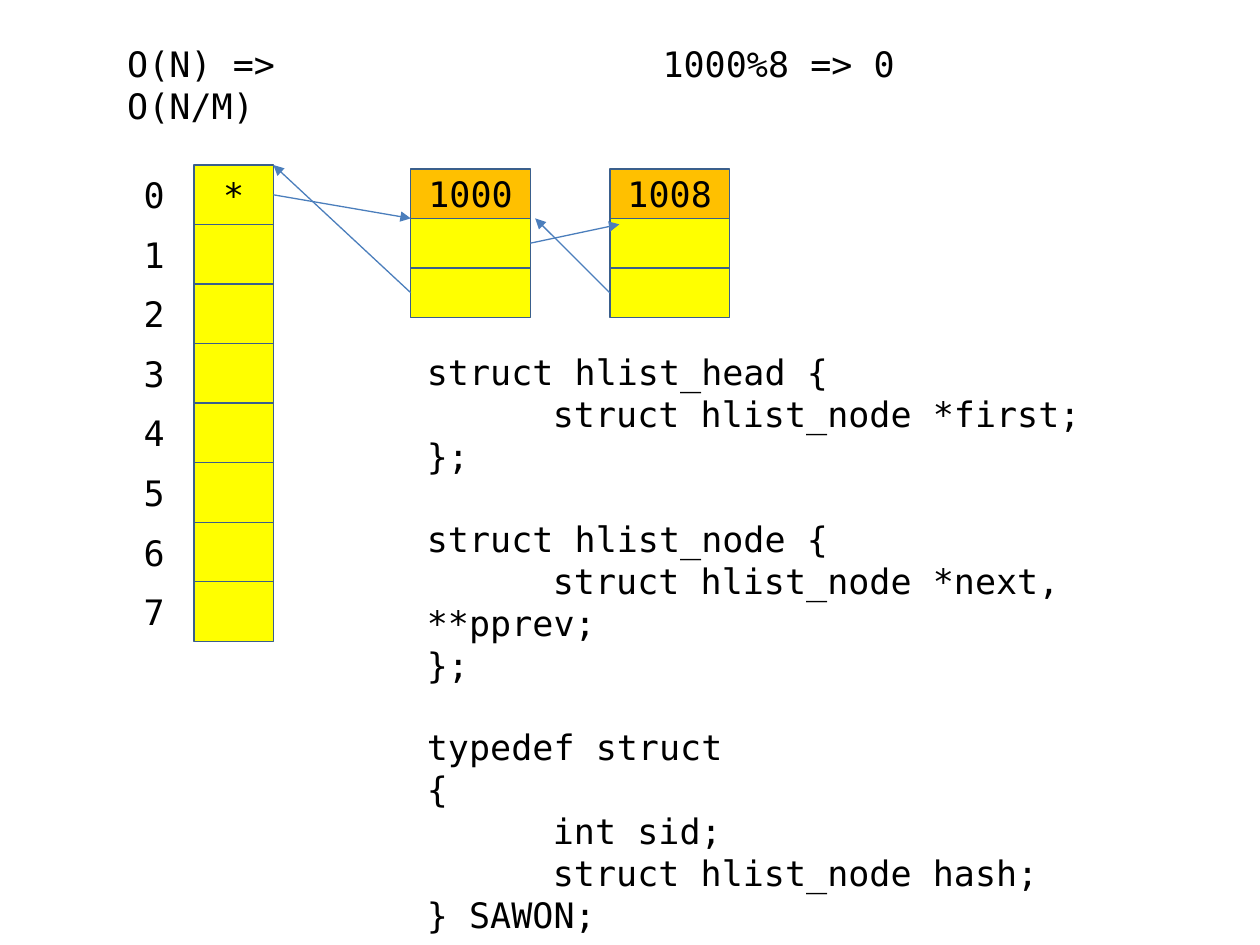
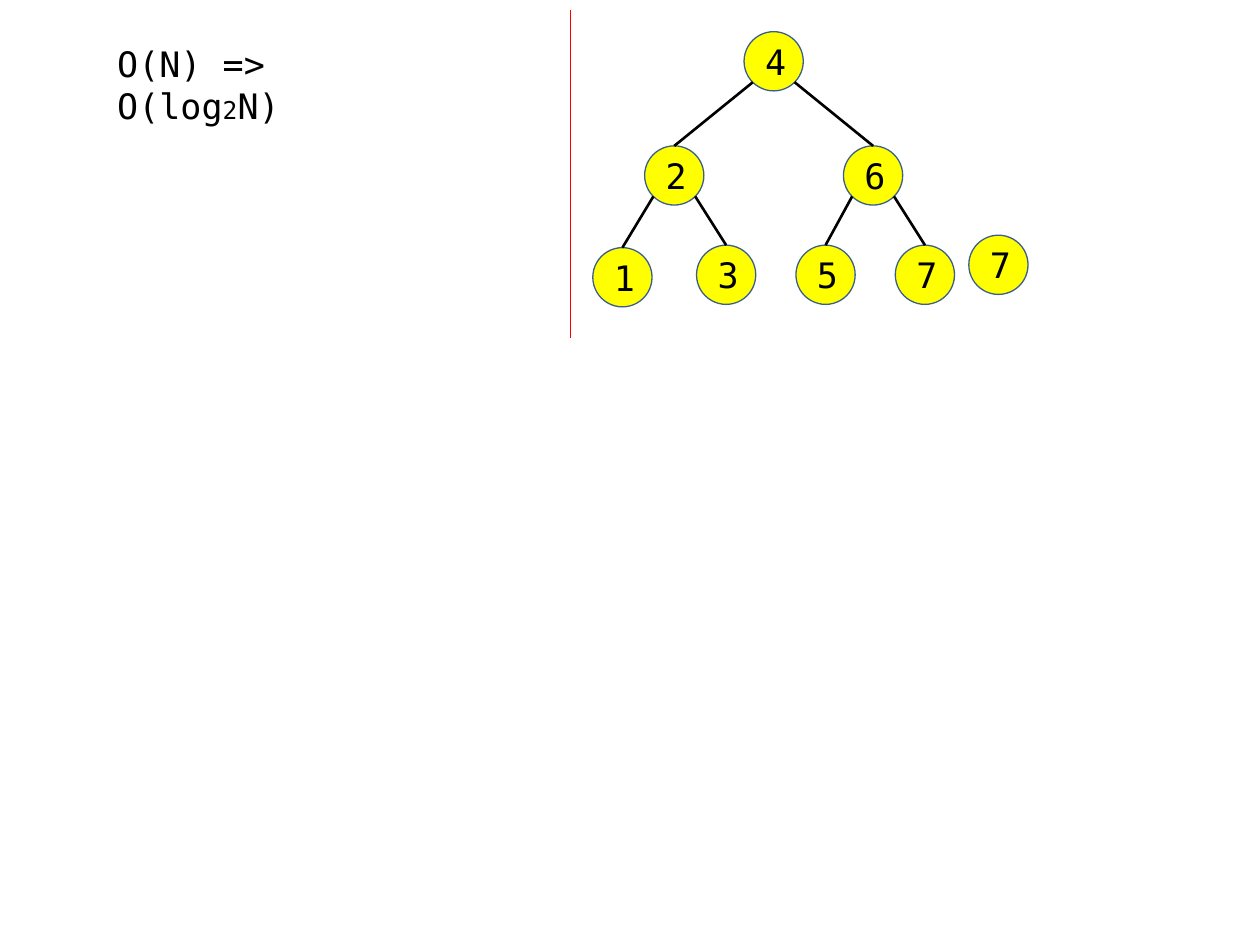
from collections import namedtuple
from math import sqrt

from lxml.etree import SubElement
from pptx import Presentation
from pptx.dml.color import RGBColor
from pptx.enum.shapes import MSO_CONNECTOR, MSO_SHAPE
from pptx.enum.text import MSO_ANCHOR, MSO_AUTO_SIZE, PP_ALIGN
from pptx.oxml.ns import qn
from pptx.util import Inches, Pt

FONT = "DejaVu Sans Mono"
TEXT_SIZE = 20
SUBSCRIPT_SIZE = 14
BLANK_LINE = 23.3
BLACK, YELLOW, ORANGE, RED = "000000", "FFFF00", "FFC000", "FF0000"
OUTLINE, ARROW = "3A5F8C", "4B7EBC"
TITLE_ONLY = 5

# All lengths are inches.
Box = namedtuple("Box", "left top width height")

CODE = [
    "struct hlist_head {", "\tstruct hlist_node *first;", "};", "",
    "struct hlist_node {", "\tstruct hlist_node *next, **pprev;", "};", "",
    "typedef struct", "{", "\tint sid;", "\tstruct hlist_node hash;", "} SAWON;",
]


def color(hex_string):
    """Turn a hex string into a colour."""
    return RGBColor.from_string(hex_string)


def point(box, across, down):
    """Return the point at the given shares of a box's width and height."""
    return box.left + across * box.width, box.top + down * box.height


def split_rows(box, count):
    """Cut a box into equal rows."""
    height = box.height / count
    return [Box(box.left, box.top + row * height, box.width, height)
            for row in range(count)]


def format_run(run, size=TEXT_SIZE):
    """Give a run the shared font, colour and a size."""
    run.font.name = FONT
    run.font.size = Pt(size)
    run.font.color.rgb = color(BLACK)


def write_centered(shape, text):
    """Write one line in the middle of a shape."""
    frame = shape.text_frame
    frame.text = text
    frame.word_wrap = True
    frame.vertical_anchor = MSO_ANCHOR.MIDDLE
    paragraph = frame.paragraphs[0]
    paragraph.alignment = PP_ALIGN.CENTER
    for run in paragraph.runs:
        format_run(run)


def add_text_box(slide, box):
    """Add an empty wrapping text box."""
    shape = slide.shapes.add_textbox(*map(Inches, box))
    shape.text_frame.word_wrap = True
    return shape


def add_cell(slide, box, text="", fill=YELLOW, preset=MSO_SHAPE.RECTANGLE):
    """Add an outlined, filled shape with an optional centred text."""
    shape = slide.shapes.add_shape(preset, *map(Inches, box))
    shape.shadow.inherit = False
    shape.fill.solid()
    shape.fill.fore_color.rgb = color(fill)
    shape.line.color.rgb = color(OUTLINE)
    shape.line.width = Pt(0.75)
    if text:
        write_centered(shape, text)


def add_line(slide, start, end, line_color, width=0.75, arrow=False):
    """Add a straight line, with an arrowhead at its end if asked for."""
    connector = slide.shapes.add_connector(
        MSO_CONNECTOR.STRAIGHT, *map(Inches, (*start, *end)))
    connector.line.color.rgb = color(line_color)
    connector.line.width = Pt(width)
    if arrow:
        SubElement(connector.line._get_or_add_ln(), qn("a:tailEnd"), type="triangle")
    SubElement(connector._element.spPr, qn("a:effectLst"))


def add_title(slide, box, pieces):
    """Fill the title placeholder with (text, size) pieces."""
    title = slide.shapes.title
    title.left, title.top, title.width, title.height = map(Inches, box)
    frame = title.text_frame
    frame.word_wrap = True
    frame.auto_size = MSO_AUTO_SIZE.SHAPE_TO_FIT_TEXT
    frame.vertical_anchor = MSO_ANCHOR.TOP
    paragraph = frame.paragraphs[0]
    paragraph.alignment = PP_ALIGN.LEFT
    for text, size in pieces:
        run = paragraph.add_run()
        run.text = text
        format_run(run, size)


def add_formula(slide, box, text):
    """Add a left-aligned formula."""
    frame = add_text_box(slide, box).text_frame
    frame.text = text
    format_run(frame.paragraphs[0].runs[0])


def add_buckets(slide, box, count):
    """Draw numbered hash buckets: labels left, cells right; return the cells."""
    half = box.width / 2
    cells = split_rows(Box(box.left + half, box.top, half, box.height), count)
    for index, cell in enumerate(cells):
        label = add_text_box(slide, cell._replace(left=box.left))
        write_centered(label, str(index))
        add_cell(slide, cell, "" if index else "*")
    return cells


def add_node(slide, box, key):
    """Draw a list node with a key, a next and a previous cell; return the cells."""
    cells = split_rows(box, 3)
    for cell, text, fill in zip(cells, (key, "", ""), (ORANGE, YELLOW, YELLOW)):
        add_cell(slide, cell, text, fill)
    return cells


def add_code(slide, box, lines):
    """Write code; a tab indents the first line, an empty entry adds space."""
    frame = add_text_box(slide, box).text_frame
    frame.auto_size = MSO_AUTO_SIZE.SHAPE_TO_FIT_TEXT
    frame.text = "\n".join(line.strip() for line in lines if line)
    written = [index for index, line in enumerate(lines) if line]
    for index, paragraph in zip(written, frame.paragraphs):
        format_run(paragraph.runs[0])
        if lines[index].startswith("\t"):
            properties = paragraph._p.get_or_add_pPr()
            properties.set("marL", "0")
            properties.set("indent", str(Inches(1)))
        if index + 1 < len(lines) and not lines[index + 1]:
            paragraph.space_after = Pt(BLANK_LINE)


def add_tree(slide, box, centers, edges):
    """Draw round nodes at shares of the box, joined from parent to child."""
    diameter = 0.47
    reach = diameter / 2 / sqrt(2)
    places = [point(box, *center) for _, center in centers]
    for (text, _), (x, y) in zip(centers, places):
        circle = Box(x - diameter / 2, y - diameter / 2, diameter, diameter)
        add_cell(slide, circle, text, preset=MSO_SHAPE.OVAL)
    for parent, child in edges:
        (parent_x, parent_y), (child_x, child_y) = places[parent], places[child]
        side = reach if child_x > parent_x else -reach
        add_line(slide, (parent_x + side, parent_y + reach),
                 (child_x, child_y - diameter / 2), BLACK, 1.5)


def build_hash_slide(presentation):
    """Hash table with chained nodes and the structures behind it."""
    slide = presentation.slides.add_slide(presentation.slide_layouts[TITLE_ONLY])
    add_title(slide, Box(0.91, 0.29, 2.36, 0.44), [("O(N) => O(N/M)", TEXT_SIZE)])
    add_formula(slide, Box(5.16, 0.29, 2.05, 0.44), "1000%8 => 0")
    bucket = add_buckets(slide, Box(0.91, 1.31, 1.26, 3.78), 8)[0]
    first, second = [add_node(slide, Box(left, 1.34, 0.95, 1.18), key)
                     for left, key in ((3.26, "1000"), (4.84, "1008"))]
    arrows = [
        (point(bucket, 1, 0.5), point(first[1], 0, 0)),
        (point(first[2], 0, 0.5), point(bucket, 1, 0)),
        (point(first[1], 1, 0.5), point(second[1], 0.08, 0.12)),
        (point(second[2], 0, 0.5), point(first[1], 1.04, 0)),
    ]
    for start, end in arrows:
        add_line(slide, start, end, ARROW, arrow=True)
    add_code(slide, Box(3.29, 2.73, 6.3, 4.48), CODE)


def build_tree_slide(presentation):
    """Binary search tree with a value waiting beside it."""
    slide = presentation.slides.add_slide(presentation.slide_layouts[TITLE_ONLY])
    add_title(slide, Box(0.83, 0.29, 2.67, 0.44),
              [("O(N) => O(log", TEXT_SIZE), ("2", SUBSCRIPT_SIZE), ("N)", TEXT_SIZE)])
    centers = [
        ("4", (0.42, 0.11)),
        ("2", (0.19, 0.57)), ("6", (0.65, 0.57)),
        ("1", (0.07, 0.98)), ("3", (0.31, 0.97)),
        ("5", (0.54, 0.97)), ("7", (0.77, 0.97)),
        ("7", (0.94, 0.93)),
    ]
    edges = [((child - 1) // 2, child) for child in range(1, 7)]
    add_tree(slide, Box(4.7, 0.27, 3.43, 1.97),
             [(text, (x, y)) for text, (x, y) in centers], edges)
    add_line(slide, (4.53, 0.08), (4.53, 2.68), RED)


presentation = Presentation()
presentation.slide_width, presentation.slide_height = Inches(10), Inches(7.5)
build_hash_slide(presentation)
build_tree_slide(presentation)
presentation.save("out.pptx")
